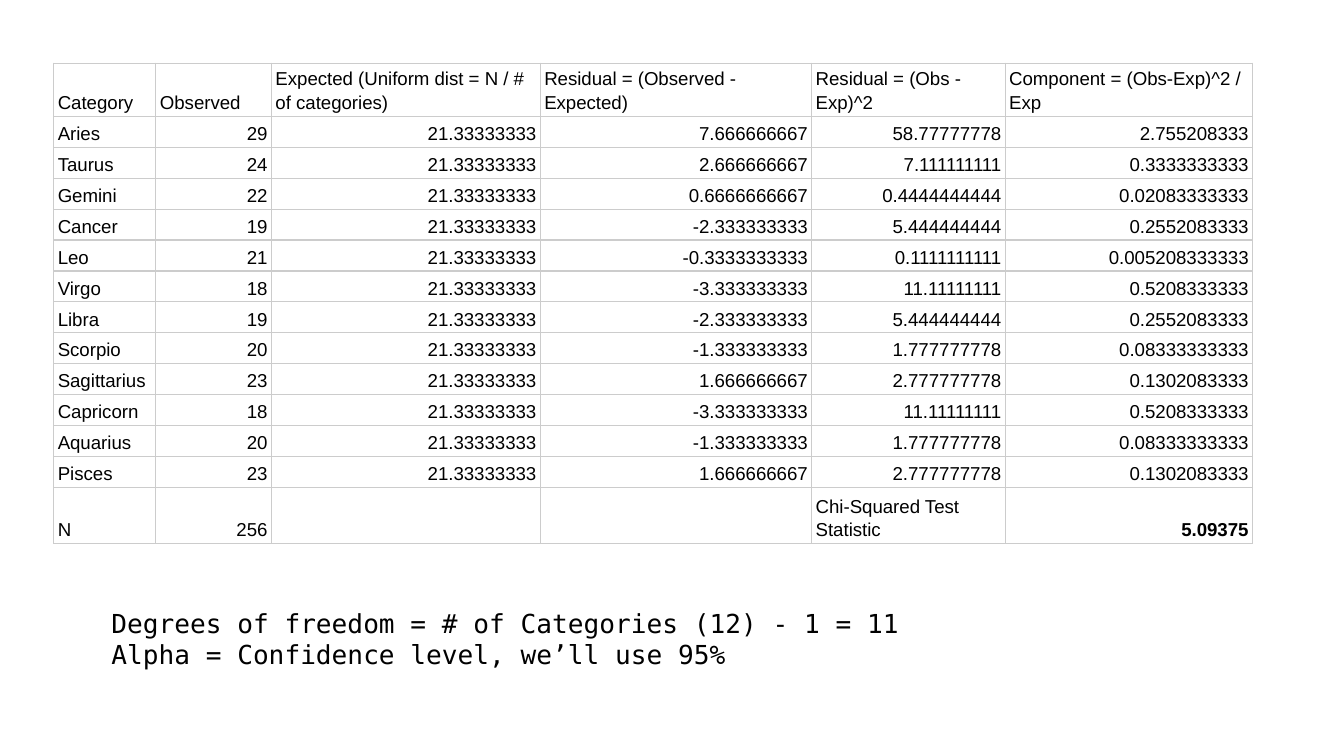
from dataclasses import dataclass

from lxml import etree
from pptx import Presentation
from pptx import util as u
from pptx.dml.color import RGBColor
from pptx.enum import text
from pptx.oxml import ns

# Widescreen, 16 by 9
SLIDE_WIDTH = u.Inches(10)
SLIDE_HEIGHT = u.Emu(SLIDE_WIDTH * 9 // 16)
COLORS = {"text": "000000", "border": "CCCCCC"}

# Table grid, in inches
COLUMN_WIDTHS = [0.76, 0.86, 2, 2.02, 1.44, 1.84]
HEADER_HEIGHT, BODY_HEIGHT, TOTAL_HEIGHT = 0.15, 0.23, 0.42

HEADERS = [
    "Category",
    "Observed",
    "Expected (Uniform dist = N / # of categories)",
    "Residual = (Observed - Expected)",
    "Residual = (Obs - Exp)^2",
    "Component = (Obs-Exp)^2 / Exp",
]
OBSERVED = {
    "Aries": 29, "Taurus": 24, "Gemini": 22, "Cancer": 19,
    "Leo": 21, "Virgo": 18, "Libra": 19, "Scorpio": 20,
    "Sagittarius": 23, "Capricorn": 18, "Aquarius": 20, "Pisces": 23,
}
NOTES = [
    "Degrees of freedom = # of Categories (12) - 1 = 11",
    "Alpha = Confidence level, we’ll use 95%",
]


@dataclass
class Entry:
    """Content of one table cell; numbers are set to the right."""
    value: str | float = ""
    bold: bool = False

    @property
    def label(self) -> str:
        return self.value if isinstance(self.value, str) else f"{self.value:.10g}"


@dataclass
class TextStyle:
    font: str
    size: float


TABLE_STYLE = TextStyle("Arial", 10)
NOTE_STYLE = TextStyle("DejaVu Sans Mono", 14)


def chi_squared_rows() -> list[list[Entry]]:
    """Work out the header, one row per category, and the total row."""
    total = sum(OBSERVED.values())
    expected = total / len(OBSERVED)
    rows = [[Entry(header) for header in HEADERS]]
    statistic = 0.0
    for category, count in OBSERVED.items():
        residual = count - expected
        component = residual ** 2 / expected
        statistic += component
        values = [category, count, expected, residual, residual ** 2, component]
        rows.append([Entry(value) for value in values])
    rows.append([Entry("N"), Entry(total), Entry(), Entry(),
                 Entry("Chi-Squared Test Statistic"), Entry(statistic, bold=True)])
    return rows


def add_run(paragraph, content: str, style: TextStyle, bold: bool = False) -> None:
    run = paragraph.add_run()
    run.text = content
    run.font.name = style.font
    run.font.size = u.Pt(style.size)
    run.font.bold = bold
    run.font.color.rgb = RGBColor.from_string(COLORS["text"])


def set_borders(cell) -> None:
    properties = cell._tc.get_or_add_tcPr()
    for side in ("a:lnL", "a:lnR", "a:lnT", "a:lnB"):
        line = etree.SubElement(properties, ns.qn(side), w=str(u.Pt(0.75)))
        fill = etree.SubElement(line, ns.qn("a:solidFill"))
        etree.SubElement(fill, ns.qn("a:srgbClr"), val=COLORS["border"])


def fill_cell(cell, entry: Entry) -> None:
    set_borders(cell)
    cell.fill.background()
    cell.vertical_anchor = text.MSO_ANCHOR.BOTTOM
    cell.margin_left = cell.margin_right = u.Inches(0.03)
    cell.margin_top = cell.margin_bottom = u.Inches(0.02)
    if entry.label:
        paragraph = cell.text_frame.paragraphs[0]
        paragraph.line_spacing = 1.15
        if not isinstance(entry.value, str):
            paragraph.alignment = text.PP_ALIGN.RIGHT
        add_run(paragraph, entry.label, TABLE_STYLE, entry.bold)


def add_chi_squared_table(slide) -> None:
    rows = chi_squared_rows()
    heights = [HEADER_HEIGHT, *[BODY_HEIGHT] * len(OBSERVED), TOTAL_HEIGHT]
    table = slide.shapes.add_table(
        len(rows), len(COLUMN_WIDTHS), u.Inches(0.4), u.Inches(0.47),
        u.Inches(sum(COLUMN_WIDTHS)), u.Inches(sum(heights))).table
    table.first_row = table.horz_banding = False
    for column, width in zip(table.columns, COLUMN_WIDTHS):
        column.width = u.Inches(width)
    for table_row, height, entries in zip(table.rows, heights, rows):
        table_row.height = u.Inches(height)
        for cell, entry in zip(table_row.cells, entries):
            fill_cell(cell, entry)


def add_notes_below(slide) -> None:
    shape = slide.shapes.add_textbox(
        u.Inches(0.73), u.Inches(4.42), u.Inches(7.05), u.Inches(0.67))
    frame = shape.text_frame
    frame.word_wrap = True
    frame.auto_size = text.MSO_AUTO_SIZE.SHAPE_TO_FIT_TEXT
    frame.margin_left = frame.margin_right = u.Inches(0.1)
    frame.margin_top = frame.margin_bottom = u.Inches(0.1)
    for index, note in enumerate(NOTES):
        paragraph = frame.add_paragraph() if index else frame.paragraphs[0]
        add_run(paragraph, note, NOTE_STYLE)


def main() -> None:
    presentation = Presentation()
    presentation.slide_width, presentation.slide_height = SLIDE_WIDTH, SLIDE_HEIGHT
    slide = presentation.slides.add_slide(presentation.slide_layouts[6])
    add_chi_squared_table(slide)
    add_notes_below(slide)
    presentation.save("out.pptx")


if __name__ == "__main__":
    main()
